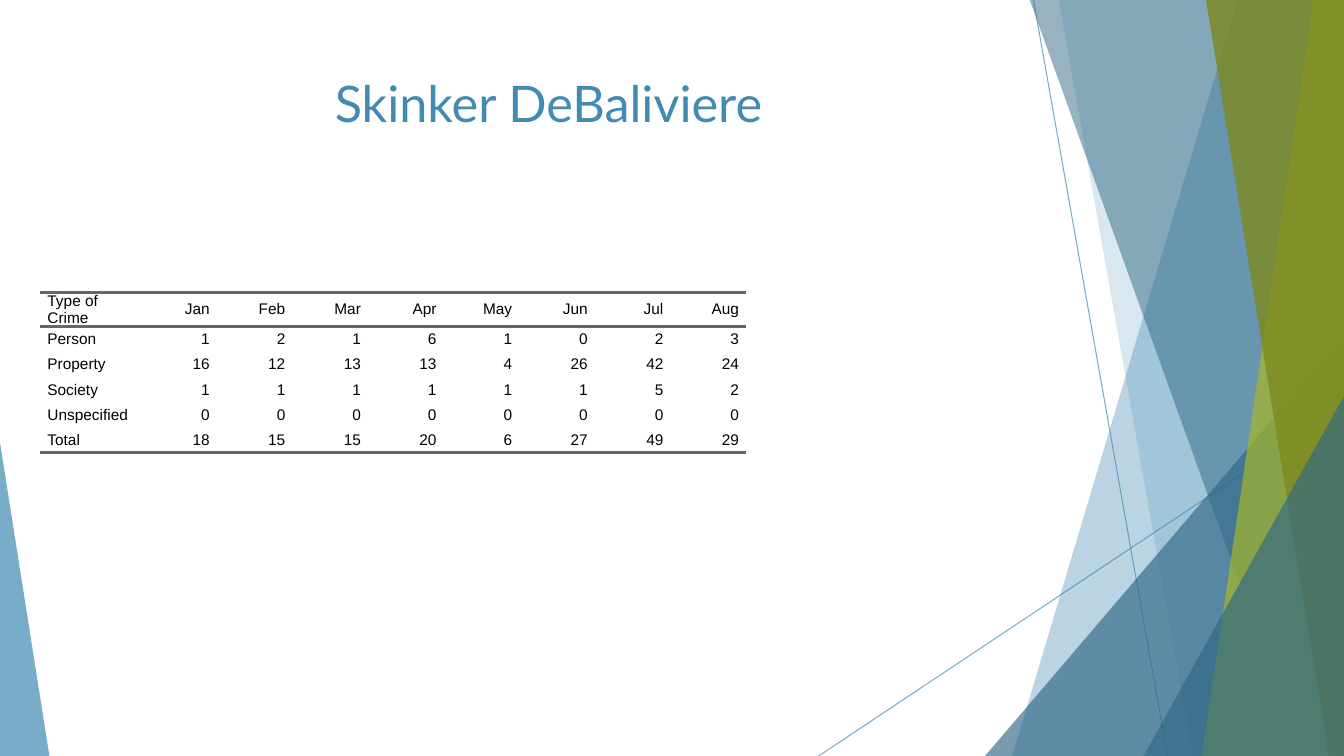
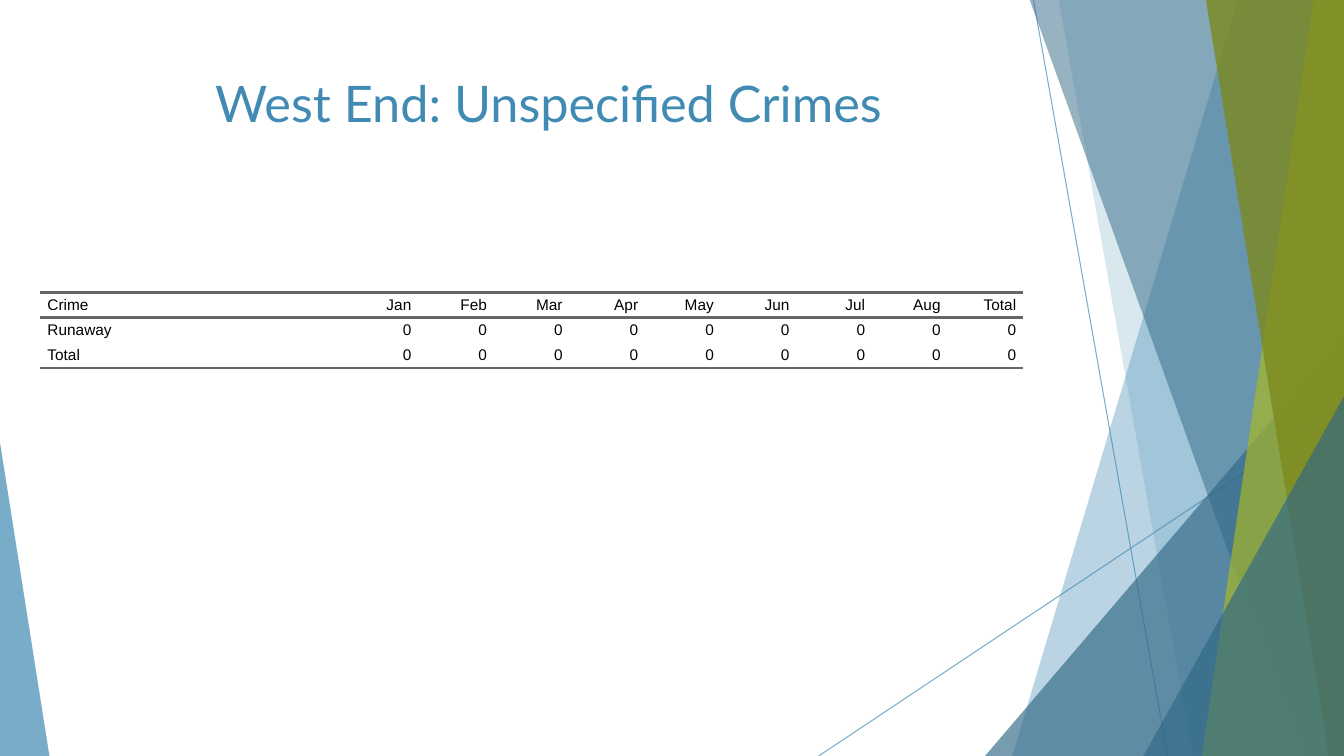
from lxml.etree import SubElement
from pptx import Presentation
from pptx.dml.color import RGBColor
from pptx.enum.shapes import MSO_CONNECTOR as CONN, MSO_SHAPE as SHAPE
from pptx.enum.text import MSO_ANCHOR as ANCHOR, MSO_AUTO_SIZE as AUTO, PP_ALIGN as ALIGN
from pptx.oxml import parse_xml
from pptx.oxml.ns import nsdecls, qn
from pptx.util import Pt

PX = 9144
SLIDE_W, SLIDE_H = 1333, 750
COLORS = {
    "blue": "418AB3",
    "navy": "316886",
    "lime": "A6B727",
    "olive": "7D891D",
    "rule": "666666",
    "text": "000000",
}
NO_GRID = "{2D5ABB26-0587-4C30-8999-92F81FD0307C}"
TITLE_BOX = (74, 67, 940, 144)
TABLE_AT = (40, 290)
ROW_H, MONTH_W, INDENT = 25, 75, 7
MONTHS = ["Jan", "Feb", "Mar", "Apr", "May", "Jun", "Jul", "Aug"]

SLIDES = [
    ("Skinker DeBaliviere", 100, [
        ["Type of Crime", *MONTHS],
        ["Person", 1, 2, 1, 6, 1, 0, 2, 3],
        ["Property", 16, 12, 13, 13, 4, 26, 42, 24],
        ["Society", 1, 1, 1, 1, 1, 1, 5, 2],
        ["Unspecified", *[0] * 8],
        ["Total", 18, 15, 15, 20, 6, 27, 49, 29],
    ]),
    ("West End: Unspecified Crimes", 300, [
        ["Crime", *MONTHS, "Total"],
        ["Runaway", *[0] * 9],
        ["Total", *[0] * 9],
    ]),
]


def px(*lengths):
    return [n * PX for n in lengths]


def rgb(name):
    return RGBColor.from_string(COLORS[name])


def set_alpha(shape, percent):
    color = shape.element.xpath(".//a:srgbClr")[0]
    SubElement(color, qn("a:alpha")).set("val", str(percent * 1000))


def paint(shape, color, alpha):
    shape.fill.solid()
    shape.fill.fore_color.rgb = rgb(color)
    shape.line.fill.background()
    shape.shadow.inherit = False
    set_alpha(shape, alpha)


def add_ray(shapes, x1, y1, x2, y2):
    ray = shapes.add_connector(CONN.STRAIGHT, *px(x1, y1, x2, y2))
    ray.line.color.rgb = rgb("blue")
    ray.line.width = Pt(0.75)
    set_alpha(ray, 70)
    SubElement(ray.element.spPr, qn("a:effectLst"))


def add_band(shapes, right, bottom, top_x, bottom_x, color, alpha):
    outline = shapes.build_freeform(top_x, -1, scale=PX)
    outline.add_line_segments([(right, -1), (right, bottom), (bottom_x, bottom)])
    paint(outline.convert_to_shape(), color, alpha)


def add_corner(shapes, x, bottom, w, h, apex, color, alpha):
    corner = shapes.add_shape(SHAPE.ISOSCELES_TRIANGLE, *px(x, bottom - h, w, h))
    corner.adjustments[0] = apex
    paint(corner, color, alpha)


def draw_facets(s, w, h):
    group = s.shapes.add_group_shape()
    shapes = group.shapes
    add_ray(shapes, 1025, 0, 1158, h)
    add_ray(shapes, w, 403, 812, h)
    add_band(shapes, w, h, 1228, 1004, "blue", 36)
    add_band(shapes, w, h, 1050, 1183, "blue", 20)
    add_corner(shapes, w - 356, h, 356, 417, 1, "navy", 66)
    add_band(shapes, w, h, 1021, 1291, "navy", 50)
    add_band(shapes, w, h, 1303, 1192, "lime", 70)
    add_band(shapes, w, h, 1196, 1318, "olive", 80)
    add_corner(shapes, w - 199, h, 199, 357, 1, "navy", 66)
    add_corner(shapes, 0, h, 49, 311, 0, "blue", 70)
    return group


def share_facets(s, layout):
    for ph in list(layout.placeholders)[1:]:
        ph.element.getparent().remove(ph.element)
    group = draw_facets(s, SLIDE_W, SLIDE_H)
    layout.shapes.element.insert(2, group.element)


def set_title(s, text, box):
    title = s.shapes.title
    title.left, title.top, title.width, title.height = px(*box)
    tf = title.text_frame
    tf.text = text
    tf.word_wrap = True
    tf.auto_size = AUTO.NONE
    tf.vertical_anchor = ANCHOR.TOP
    p = tf.paragraphs[0]
    p.alignment = ALIGN.CENTER
    font = p.runs[0].font
    font.name, font.size = "Lato", Pt(36)
    font.color.rgb = rgb("blue")


def add_rule(cell, side):
    cell.fill.background()
    rule = parse_xml(
        f'<a:ln{side} {nsdecls("a")} w="25400"><a:solidFill>'
        f'<a:srgbClr val="{COLORS["rule"]}"/></a:solidFill></a:ln{side}>'
    )
    cell.fill.background()
    cell._tc.get_or_add_tcPr().insert(0, rule)


def fill_cell(cell, value, align):
    cell.fill.background()
    cell.margin_left = cell.margin_right = cell.margin_top = cell.margin_bottom = 0
    cell.vertical_anchor = ANCHOR.MIDDLE
    cell.text_frame.text = str(value)
    p = cell.text_frame.paragraphs[0]
    p.alignment = align
    p.space_before = p.space_after = Pt(5)
    pPr = p._p.get_or_add_pPr()
    for side in ("marL", "marR"):
        pPr.set(side, str(INDENT * PX))
    pPr.set("indent", "0")
    font = p.runs[0].font
    font.name, font.size = "Arial", Pt(11)
    font.color.rgb = rgb("text")


def add_crime_table(s, x, y, label_w, rows):
    widths = [label_w] + [MONTH_W] * (len(rows[0]) - 1)
    box = px(x, y, sum(widths), ROW_H * len(rows))
    table = s.shapes.add_table(len(rows), len(widths), *box).table
    table.first_row = table.horz_banding = False
    table._tbl.xpath("./a:tblPr/a:tableStyleId")[0].text = NO_GRID
    for col, w in zip(table.columns, px(*widths)):
        col.width = w
    for i, row in enumerate(rows):
        table.rows[i].height = ROW_H * PX
        for j, value in enumerate(row):
            cell = table.cell(i, j)
            fill_cell(cell, value, ALIGN.RIGHT if j else ALIGN.LEFT)
            if i in (0, len(rows) - 1):
                add_rule(cell, "B")
            if i == 0:
                add_rule(cell, "T")


def main():
    prs = Presentation()
    prs.slide_width, prs.slide_height = px(SLIDE_W, SLIDE_H)
    layout = prs.slide_layouts[5]
    for i, (title, label_w, rows) in enumerate(SLIDES):
        s = prs.slides.add_slide(layout)
        if i == 0:
            share_facets(s, layout)
        set_title(s, title, TITLE_BOX)
        add_crime_table(s, *TABLE_AT, label_w, rows)
    prs.save("out.pptx")


if __name__ == "__main__":
    main()
